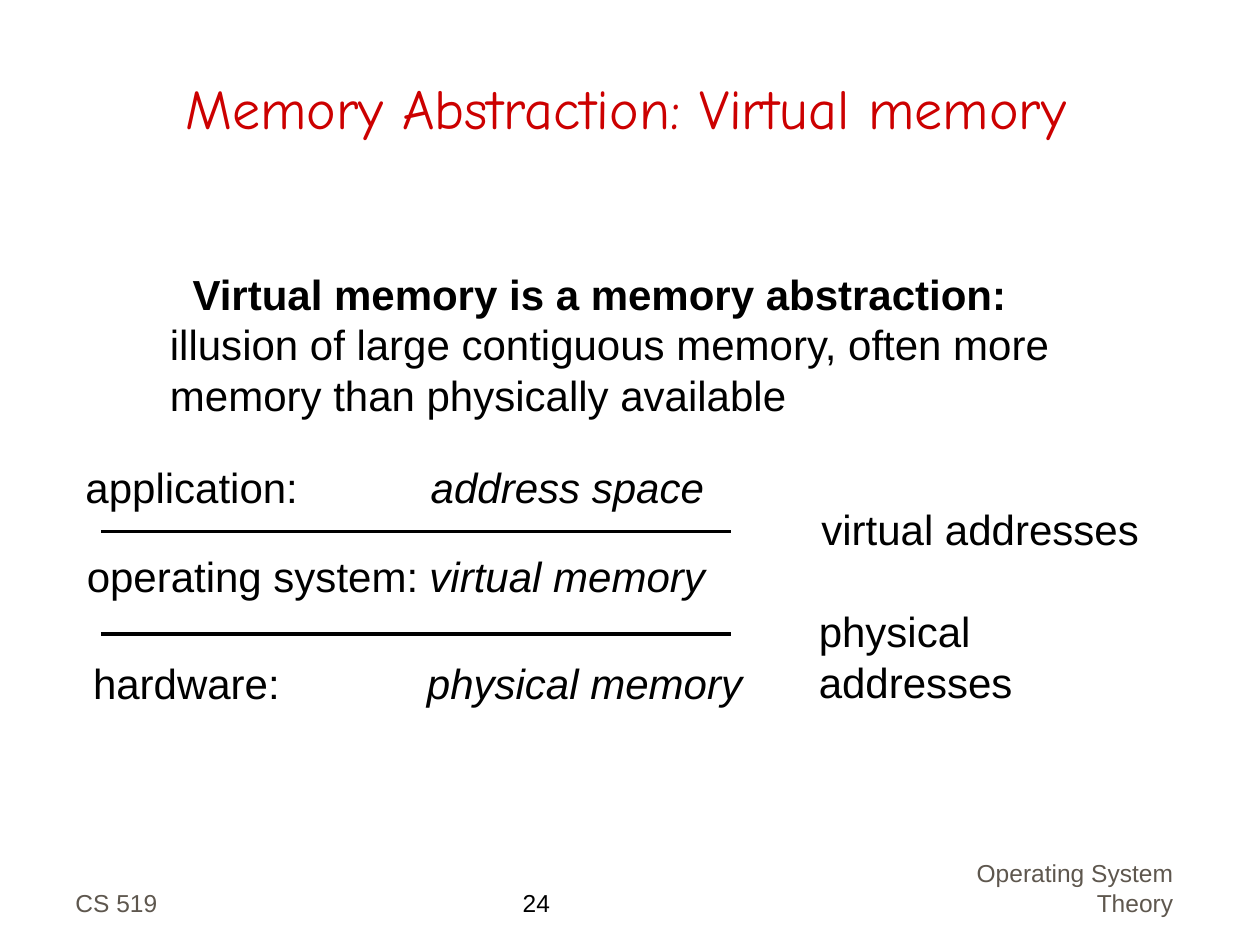
from lxml import etree
from pptx import Presentation
from pptx.dml.color import RGBColor
from pptx.enum.shapes import MSO_CONNECTOR
from pptx.enum.text import MSO_ANCHOR, PP_ALIGN
from pptx.oxml.ns import qn
from pptx.util import Inches, Pt

LEFT, CENTER, RIGHT = PP_ALIGN.LEFT, PP_ALIGN.CENTER, PP_ALIGN.RIGHT
TOP, BOTTOM = MSO_ANCHOR.TOP, MSO_ANCHOR.BOTTOM
STRAIGHT = MSO_CONNECTOR.STRAIGHT

COLORS = {"title": "CC0000", "text": "000000", "footer": "5E574E"}
TITLE = "Memory Abstraction: Virtual memory"
DEFINITION = [
    ("Virtual memory is a memory abstraction: ", "bold"),
    ("illusion of large contiguous memory, often more memory "
     "than physically available", "plain"),
]
# layer, its abstraction, (left, top, width), tab stop
LAYERS = [
    ("application:", "address space", (0.58, 3.61, 5.11), 2.74),
    ("operating system:", "virtual memory", (0.59, 4.32, 5.11), 2.72),
    ("hardware:", "physical memory", (0.64, 5.17, 5.35), 2.65),
]
# addresses crossing a boundary, (left, top, width), y of the boundary line
BOUNDARIES = [
    ("virtual addresses", (6.42, 3.95, 2.72), 4.22),
    ("physical addresses", (6.4, 4.76, 3.03), 5.03),
]
LINE_LEFT, LINE_RIGHT = 0.8, 5.8
ROW_HEIGHT = 0.5
# text, box, alignment, anchor, colour
FOOTERS = [
    ("CS 519", (0.5, 6.83, 2.08, 0.5), LEFT, BOTTOM, "footer"),
    ("24", (4.05, 7, 1.09, 0.34), LEFT, TOP, "text"),
    ("Operating System Theory", (7, 6.76, 2.41, 0.57), RIGHT, BOTTOM, "footer"),
]


def style(p, size, color="text", font="Arial", align=LEFT):
    p.alignment = align
    p.font.size = Pt(size)
    p.font.name = font
    p.font.color.rgb = RGBColor.from_string(COLORS[color])


def add_text(s, box, runs, size=24, color="text", align=LEFT, anchor=TOP,
             wrap=True, tab=None):
    """Add a one-paragraph text box; runs are (text, plain/bold/italic) pairs."""
    tf = s.shapes.add_textbox(*map(Inches, box)).text_frame
    tf.word_wrap = wrap
    tf.vertical_anchor = anchor
    p = tf.paragraphs[0]
    if tab:
        tabs = etree.SubElement(p._p.get_or_add_pPr(), qn("a:tabLst"))
        etree.SubElement(tabs, qn("a:tab"), pos=str(Inches(tab)), algn="l")
    style(p, size, color, align=align)
    for text, look in runs:
        r = p.add_run()
        r.text = text
        if look == "bold":
            r.font.bold = True
        elif look == "italic":
            r.font.italic = True
    return p


def add_boundary(s, y):
    line = s.shapes.add_connector(STRAIGHT, Inches(LINE_LEFT), Inches(y),
                                  Inches(LINE_RIGHT), Inches(y))
    line.line.color.rgb = RGBColor.from_string(COLORS["text"])
    line.line.width = Pt(2)
    etree.SubElement(line._element.spPr, qn("a:effectLst"))


def main():
    prs = Presentation()
    prs.slide_width, prs.slide_height = Inches(10), Inches(7.5)
    s = prs.slides.add_slide(prs.slide_layouts[5])

    title = s.shapes.title
    title.left, title.top = Inches(0.44), Inches(0.25)
    title.width, title.height = Inches(9.06), Inches(0.92)
    tf = title.text_frame
    tf.text = TITLE
    tf.vertical_anchor = BOTTOM
    style(tf.paragraphs[0], 32, "title", "Comic Neue", CENTER)

    p = add_text(s, (1.25, 2.08, 7.75, 1.3), DEFINITION)
    p._p.get_or_add_pPr().set("indent", str(Inches(0.18)))

    for layer, abstraction, place, tab in LAYERS:
        runs = [(layer + "\t", "plain"), (abstraction, "italic")]
        add_text(s, (*place, ROW_HEIGHT), runs, wrap=False, tab=tab)

    for addresses, place, y in BOUNDARIES:
        add_boundary(s, y)
        add_text(s, (*place, ROW_HEIGHT), [(addresses, "plain")], wrap=False)

    for text, box, align, anchor, color in FOOTERS:
        add_text(s, box, [(text, "plain")], 14, color, align, anchor)

    prs.save("out.pptx")


if __name__ == "__main__":
    main()
